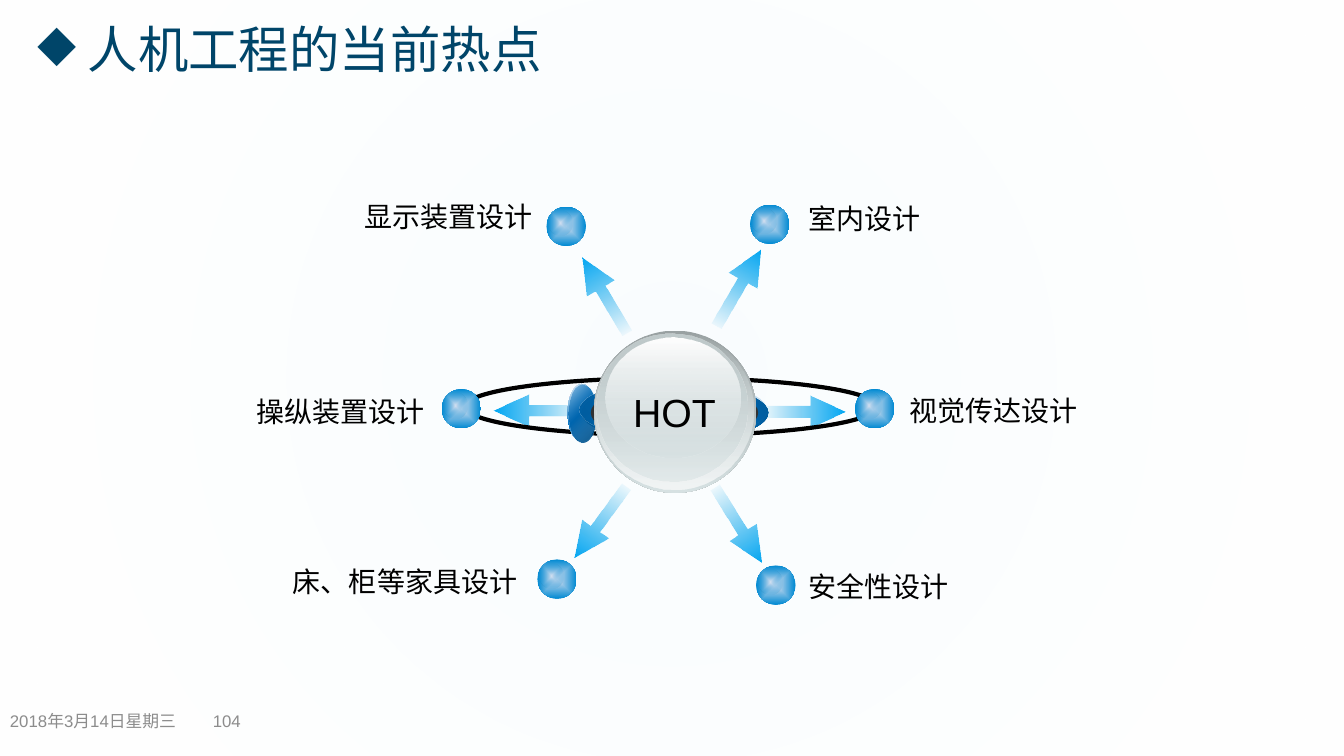
"""Build the slide on current hot topics in ergonomics as a hub with six labelled spokes."""
from dataclasses import dataclass
from typing import Optional

from lxml.etree import SubElement
from pptx import Presentation
from pptx.dml.color import RGBColor
from pptx.enum.shapes import MSO_SHAPE
from pptx.enum.text import MSO_ANCHOR, MSO_AUTO_SIZE, PP_ALIGN
from pptx.oxml.ns import qn
from pptx.util import Emu, Pt

PX = 9144
FONT = "Arial"
TITLE_FONT = "Montserrat"

BLACK = RGBColor(0x00, 0x00, 0x00)
WHITE = RGBColor(0xFF, 0xFF, 0xFF)
PALE_BLUE = RGBColor(0xF0, 0xFA, 0xFF)
NAVY = RGBColor(0x00, 0x45, 0x69)
GREY = RGBColor(0x8C, 0x8C, 0x8C)
CHARCOAL = RGBColor(0x33, 0x33, 0x33)
ARROW_TAIL = RGBColor(0x00, 0x9F, 0xE7)
ARROW_HEAD = RGBColor(0x00, 0xA7, 0xF3)
ORB_CENTRE = RGBColor(0xD5, 0xE0, 0xF1)
ORB_EDGE = RGBColor(0x00, 0x89, 0xD2)
DISC_BLUE = RGBColor(0x00, 0x70, 0xC0)
DISC_SHADE = RGBColor(0x00, 0x50, 0x89)
RING_DARK = RGBColor(0x00, 0x56, 0x93)
RING_MID = RGBColor(0x00, 0x5C, 0x9E)
STEEL_DARK = RGBColor(0x99, 0xA1, 0xA2)
STEEL_MID = RGBColor(0xC1, 0xCB, 0xCC)
STEEL_LIGHT = RGBColor(0xD6, 0xE1, 0xE2)
STEEL_PALE = RGBColor(0xF2, 0xF5, 0xF5)


@dataclass(frozen=True)
class Box:
    left: int
    top: int
    width: int
    height: int

    def emu(self) -> tuple:
        return tuple(Emu(side * PX) for side in (self.left, self.top, self.width, self.height))


@dataclass(frozen=True)
class Stop:
    position: int
    color: RGBColor
    opacity: int = 100


@dataclass(frozen=True)
class Gradient:
    stops: tuple
    angle: int = 0
    radial: Optional[str] = None


@dataclass(frozen=True)
class Ellipse:
    box: Box
    gradient: Gradient


@dataclass(frozen=True)
class Spoke:
    label: str
    label_box: Box
    align: PP_ALIGN
    orb: tuple
    arrow_box: Box
    rotation: float


LEFT, CENTER, RIGHT = PP_ALIGN.LEFT, PP_ALIGN.CENTER, PP_ALIGN.RIGHT

BACKDROP = Gradient((Stop(0, PALE_BLUE, 36), Stop(100, WHITE, 31)), radial="circle")
ARROW = Gradient((Stop(0, ARROW_TAIL, 0), Stop(100, ARROW_HEAD)))
ORB = Gradient((Stop(0, ORB_CENTRE), Stop(100, ORB_EDGE)), radial="shape")
ORB_GLOW = Gradient((Stop(0, ORB_CENTRE), Stop(100, ORB_EDGE, 0)), radial="shape")

SPOKES = (
    Spoke("室内设计", Box(792, 195, 140, 44), LEFT, (744, 203), Box(689, 269, 87, 32), 299.6),
    Spoke("安全性设计", Box(792, 560, 160, 44), LEFT, (750, 561), Box(689, 505, 87, 32), 57.8),
    Spoke("显示装置设计", Box(350, 193, 188, 44), RIGHT, (542, 205), Box(556, 277, 87, 32), 239.5),
    Spoke("床、柜等家具设计", Box(278, 555, 245, 44), RIGHT, (533, 555), Box(552, 502, 87, 32), 125.6),
    Spoke("视觉传达设计", Box(892, 385, 188, 44), LEFT, (848, 386), Box(752, 392, 87, 32), 0),
    Spoke("操纵装置设计", Box(242, 386, 189, 44), RIGHT, (438, 386), Box(489, 391, 94, 32), 180),
)

DISCS = (
    Ellipse(Box(563, 381, 28, 57),
            Gradient((Stop(0, WHITE), Stop(50, DISC_BLUE), Stop(100, WHITE)), 45)),
    Ellipse(Box(564, 382, 28, 57), Gradient((Stop(0, DISC_BLUE, 32), Stop(100, DISC_SHADE)), 45)),
    Ellipse(Box(577, 381, 185, 57),
            Gradient((Stop(0, RING_DARK), Stop(50, DISC_BLUE), Stop(100, RING_DARK)), 315)),
    Ellipse(Box(575, 378, 185, 57), Gradient((Stop(0, RING_MID), Stop(100, DISC_BLUE, 0)), 45)),
)

GLOBE = (
    Ellipse(Box(589, 328, 161, 161), Gradient((Stop(0, STEEL_DARK), Stop(100, STEEL_LIGHT)), 90)),
    Ellipse(Box(590, 329, 157, 157), Gradient((Stop(0, STEEL_LIGHT, 0), Stop(100, STEEL_PALE)), 90)),
    Ellipse(Box(592, 331, 149, 147), Gradient((Stop(0, STEEL_MID), Stop(100, STEEL_LIGHT, 48)), 90)),
    Ellipse(Box(601, 335, 133, 119), Gradient((Stop(0, WHITE), Stop(100, STEEL_LIGHT, 38)), 90)),
)


def apply_gradient(shape, gradient: Gradient) -> None:
    shape.fill.background()
    properties = shape._element.spPr
    empty_fill = properties.find(qn("a:noFill"))
    fill = SubElement(properties, qn("a:gradFill"), rotWithShape="1")
    properties.replace(empty_fill, fill)
    stop_list = SubElement(fill, qn("a:gsLst"))
    for stop in gradient.stops:
        entry = SubElement(stop_list, qn("a:gs"), pos=str(stop.position * 1000))
        color = SubElement(entry, qn("a:srgbClr"), val=str(stop.color))
        if stop.opacity < 100:
            SubElement(color, qn("a:alpha"), val=str(stop.opacity * 1000))
    if gradient.radial:
        radial = SubElement(fill, qn("a:path"), {"path": gradient.radial})
        SubElement(radial, qn("a:fillToRect"), dict.fromkeys("ltrb", "50000"))
    else:
        SubElement(fill, qn("a:lin"), ang=str(gradient.angle * 60000), scaled="0")


def add_plain_shape(shapes, kind: MSO_SHAPE, box: Box, gradient: Optional[Gradient] = None):
    shape = shapes.add_shape(kind, *box.emu())
    shape.shadow.inherit = False
    shape.line.fill.background()
    if gradient:
        apply_gradient(shape, gradient)
    else:
        shape.fill.background()
    return shape


def write_text(shape, text: str, *, size: int, color: RGBColor, font: str = FONT,
               align: PP_ALIGN = LEFT, anchor: MSO_ANCHOR = MSO_ANCHOR.MIDDLE,
               wrap: bool = True, fit: MSO_AUTO_SIZE = MSO_AUTO_SIZE.NONE) -> None:
    frame = shape.text_frame
    frame.word_wrap, frame.auto_size, frame.vertical_anchor = wrap, fit, anchor
    paragraph = frame.paragraphs[0]
    paragraph.alignment = align
    run = paragraph.add_run()
    run.text = text
    run.font.name, run.font.size, run.font.color.rgb = font, Pt(size), color


def add_label(shapes, text: str, box: Box, size: int, align: PP_ALIGN) -> None:
    write_text(shapes.add_textbox(*box.emu()), text, size=size, color=BLACK, align=align,
               anchor=MSO_ANCHOR.TOP, wrap=False, fit=MSO_AUTO_SIZE.SHAPE_TO_FIT_TEXT)


def add_title(slide) -> None:
    title = slide.shapes.title
    title.left, title.top, title.width, title.height = Box(27, 30, 1150, 43).emu()
    paragraph = title.text_frame.paragraphs[0]
    properties = paragraph._p.get_or_add_pPr()
    properties.set("marL", str(50 * PX))
    properties.set("indent", str(-50 * PX))
    SubElement(properties, qn("a:buChar"), char="◆")
    paragraph.line_spacing = 0.9
    write_text(title, "人机工程的当前热点", size=36, color=NAVY, font=TITLE_FONT)


def add_orb(shapes, left: int, top: int) -> None:
    group = shapes.add_group_shape()
    add_plain_shape(group.shapes, MSO_SHAPE.OVAL, Box(left, top, 39, 39), ORB)
    add_plain_shape(group.shapes, MSO_SHAPE.OVAL, Box(left + 2, top + 4, 24, 25), ORB_GLOW)


def main() -> None:
    presentation = Presentation()
    presentation.slide_width, presentation.slide_height = Emu(1333 * PX), Emu(750 * PX)
    slide = presentation.slides.add_slide(presentation.slide_layouts[5])
    shapes = slide.shapes
    backdrop = add_plain_shape(shapes, MSO_SHAPE.RECTANGLE, Box(0, 0, 1333, 750), BACKDROP)
    shapes._spTree.insert(2, backdrop._element)
    add_title(slide)
    for text, width, align in (("2018年3月14日星期三", 300, LEFT), ("104", 450, CENTER)):
        footer = shapes.add_textbox(*Box(0, 695, width, 40).emu())
        write_text(footer, text, size=12, color=GREY, align=align)

    for spoke in SPOKES:
        arrow = add_plain_shape(shapes, MSO_SHAPE.RIGHT_ARROW, spoke.arrow_box, ARROW)
        arrow.rotation = spoke.rotation
        arrow.adjustments[0] = 0.35
        arrow.adjustments[1] = 1.11
    orbit = add_plain_shape(shapes, MSO_SHAPE.OVAL, Box(461, 375, 409, 57))
    orbit.line.color.rgb, orbit.line.width = BLACK, Pt(3)
    for spoke in SPOKES:
        add_orb(shapes, *spoke.orb)
        add_label(shapes, spoke.label, spoke.label_box, 20, spoke.align)

    for disc in DISCS:
        add_plain_shape(shapes, MSO_SHAPE.OVAL, disc.box, disc.gradient)
    globe = shapes.add_group_shape().shapes
    base = add_plain_shape(globe, MSO_SHAPE.OVAL, Box(586, 381, 166, 57))
    base.fill.solid()
    base.fill.fore_color.rgb = CHARCOAL
    for layer in GLOBE:
        add_plain_shape(globe, MSO_SHAPE.OVAL, layer.box, layer.gradient)
    add_label(shapes, "HOT", Box(618, 380, 102, 57), 28, CENTER)
    presentation.save("out.pptx")


if __name__ == "__main__":
    main()
